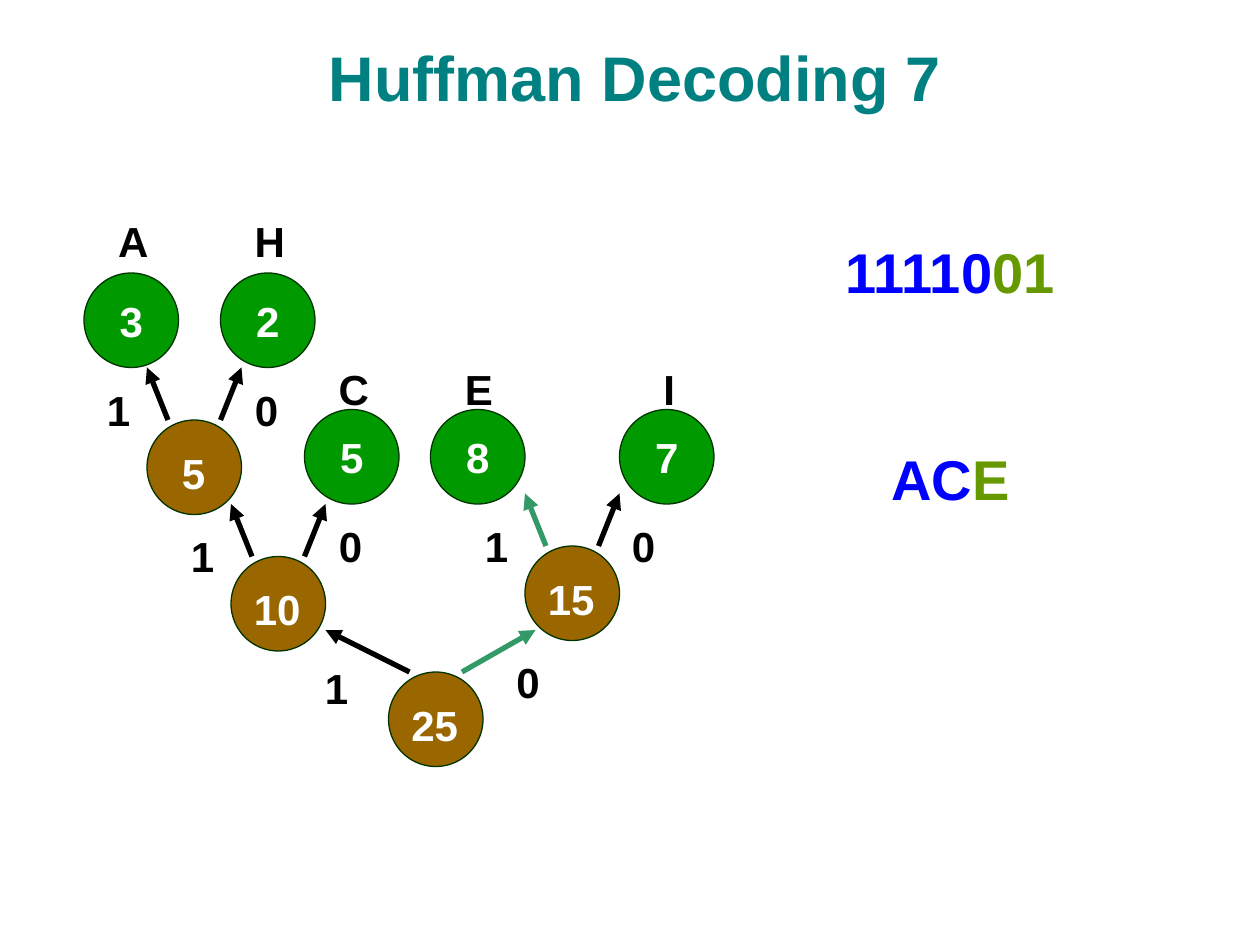
"""Build the Huffman decoding slide: a code tree beside the bits and decoded letters."""
from lxml.etree import SubElement
from pptx import Presentation
from pptx.dml.color import RGBColor
from pptx.enum.shapes import MSO_CONNECTOR, MSO_SHAPE
from pptx.enum.text import MSO_ANCHOR, MSO_AUTO_SIZE, PP_ALIGN
from pptx.oxml.ns import qn
from pptx.util import Pt

TEAL = RGBColor(0x00, 0x80, 0x80)
LEAF_GREEN = RGBColor(0x00, 0x99, 0x00)
OUTLINE_GREEN = RGBColor(0x00, 0x33, 0x00)
TRUNK_BROWN = RGBColor(0x99, 0x66, 0x00)
ACTIVE_GREEN = RGBColor(0x33, 0x99, 0x66)
DECODED_BLUE = RGBColor(0x00, 0x00, 0xFF)
CURRENT_OLIVE = RGBColor(0x66, 0x99, 0x00)
BLACK = RGBColor(0x00, 0x00, 0x00)
WHITE = RGBColor(0xFF, 0xFF, 0xFF)

NODE_SIZE = 54
BRANCH_INSET = 12
LABEL_HEIGHT = 36
DIGIT_WIDTH = 27.4
NUMBER_WIDTH = 41

LEAVES = [
    ("3", 48, 156, "A", 60.5, 119.5, 31.7),
    ("5", 174, 234, "C", 186.5, 204, 31.7),
    ("8", 246, 234, "E", 258.5, 204, 30.2),
    ("2", 126, 156, "H", 138.5, 119.5, 31.7),
    ("7", 354, 234, "I", 372, 204, 21),
]

BRANCHES = [
    ("5", 84, 240, DIGIT_WIDTH,
     ((84, 210), BLACK, (54, 216)), ((138, 210), BLACK, (138.5, 216))),
    ("10", 132, 318, NUMBER_WIDTH,
     ((132, 288), BLACK, (102, 299.5)), ((186, 288), BLACK, (186.5, 294))),
    ("15", 300, 312, NUMBER_WIDTH,
     ((300, 282), ACTIVE_GREEN, (270, 294)), ((354, 282), BLACK, (354, 294))),
    ("25", 222, 384, NUMBER_WIDTH,
     ((186, 360), BLACK, (178.5, 375)), ((306, 360), ACTIVE_GREEN, (288, 371.5))),
]


def write_text(paragraph, text, *, size=24, color=BLACK, align=None, before=None):
    run = paragraph.add_run()
    run.text = text
    run.font.name = "Arial"
    run.font.size = Pt(size)
    run.font.bold = True
    run.font.color.rgb = color
    if align is not None:
        paragraph.alignment = align
    if before is not None:
        paragraph.space_before = Pt(before)


def add_frame(slide, left, top, width, height, wrap=True):
    box = slide.shapes.add_textbox(Pt(left), Pt(top), Pt(width), Pt(height))
    box.text_frame.word_wrap = wrap
    return box.text_frame


def add_label(slide, text, left, top, width=DIGIT_WIDTH, color=BLACK):
    frame = add_frame(slide, left, top, width, LABEL_HEIGHT, wrap=False)
    frame.auto_size = MSO_AUTO_SIZE.SHAPE_TO_FIT_TEXT
    write_text(frame.paragraphs[0], text, color=color)


def add_node(slide, left, top, color):
    node = slide.shapes.add_shape(
        MSO_SHAPE.OVAL, Pt(left), Pt(top), Pt(NODE_SIZE), Pt(NODE_SIZE))
    node.shadow.inherit = False
    node.fill.solid()
    node.fill.fore_color.rgb = color
    node.line.color.rgb = OUTLINE_GREEN
    node.line.width = Pt(0.75)
    return node


def add_arrow(slide, start, tip, color):
    arrow = slide.shapes.add_connector(
        MSO_CONNECTOR.STRAIGHT, *(Pt(value) for value in (*start, *tip)))
    arrow.line.color.rgb = color
    arrow.line.width = Pt(3)
    SubElement(arrow.line._get_or_add_ln(), qn("a:tailEnd"), type="triangle")
    SubElement(arrow._element.spPr, qn("a:effectLst"))


def add_leaf(slide, weight, left, top, letter, letter_left, letter_top, letter_width):
    frame = add_node(slide, left, top, LEAF_GREEN).text_frame
    frame.word_wrap = False
    frame.vertical_anchor = MSO_ANCHOR.MIDDLE
    write_text(frame.paragraphs[0], weight, color=WHITE, align=PP_ALIGN.CENTER)
    add_label(slide, letter, letter_left, letter_top, letter_width)


def add_branch(slide, weight, left, top, weight_width, one, zero):
    add_node(slide, left, top, TRUNK_BROWN)
    weight_left = left + (NODE_SIZE - weight_width) / 2 - 0.5
    add_label(slide, weight, weight_left, top + 12, weight_width, WHITE)
    starts = (left + BRANCH_INSET, left + NODE_SIZE - BRANCH_INSET)
    for bit, start, (tip, color, bit_place) in zip("10", starts, (one, zero)):
        add_arrow(slide, (start, top), tip, color)
        add_label(slide, bit, *bit_place)


def add_title(slide):
    frame = add_frame(slide, 24, 12, 678, 57)
    frame.vertical_anchor = MSO_ANCHOR.BOTTOM
    write_text(frame.paragraphs[0], "Huffman Decoding 7", size=36, color=TEAL,
               align=PP_ALIGN.CENTER)


def add_decoding(slide):
    frame = add_frame(slide, 408, 132, 270, 163)
    bits, letters = frame.paragraphs[0], frame.add_paragraph()
    for line, decoded, current, before in (
            (bits, "11110", "01", 20), (letters, "AC", "E", 80)):
        for text, color in ((decoded, DECODED_BLUE), (current, CURRENT_OLIVE)):
            write_text(line, text, size=32, color=color,
                       align=PP_ALIGN.CENTER, before=before)


def main():
    deck = Presentation()
    deck.slide_width, deck.slide_height = Pt(720), Pt(540)
    slide = deck.slides.add_slide(deck.slide_layouts[6])
    add_title(slide)
    for leaf in LEAVES:
        add_leaf(slide, *leaf)
    for branch in BRANCHES:
        add_branch(slide, *branch)
    add_decoding(slide)
    deck.save("out.pptx")


if __name__ == "__main__":
    main()
